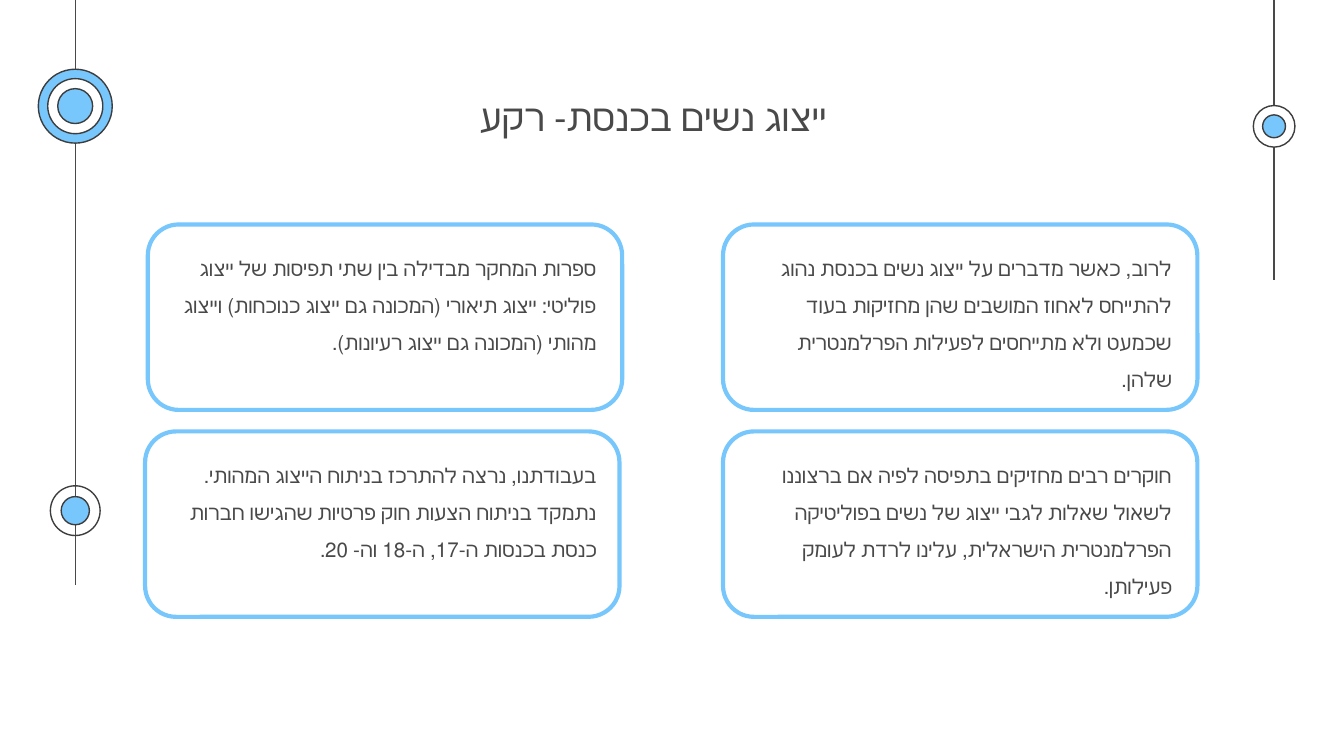
from lxml import etree
from pptx import Presentation
from pptx.dml.color import RGBColor
from pptx.enum.shapes import MSO_CONNECTOR, MSO_SHAPE
from pptx.enum.text import MSO_ANCHOR, PP_ALIGN
from pptx.oxml.ns import qn
from pptx.util import Inches, Pt

STRAIGHT = MSO_CONNECTOR.STRAIGHT
OVAL, ROUNDED = MSO_SHAPE.OVAL, MSO_SHAPE.ROUNDED_RECTANGLE
TOP = MSO_ANCHOR.TOP
CENTER, RIGHT = PP_ALIGN.CENTER, PP_ALIGN.RIGHT

WIDTH = 10
HEIGHT = WIDTH * 9 / 16
COLORS = {"ink": "494949", "ring": "3D3D3D", "sky": "77C6FC", "paper": "FFFFFF"}
FONT = "Karla"

GRID_LEFT, GRID_TOP = 1.1, 1.67
COLUMN_STEP, ROW_STEP = 4.28, 1.54
CARD_WIDTH, CARD_HEIGHT = 3.53, 1.38
TEXT_INSET_X, TEXT_INSET_Y = 0.08, 0.04
TEXT_WIDTH, TEXT_HEIGHT = 3.36, 1.11

FRAME_FORMAT = {
    "word_wrap": True,
    "vertical_anchor": TOP,
    "margin_left": Inches(0.1),
    "margin_right": Inches(0.1),
    "margin_top": Inches(0.1),
    "margin_bottom": Inches(0.1),
}
FONT_FORMAT = {"name": FONT}
TITLE_FORMAT = {"alignment": CENTER}
BODY_FORMAT = {"alignment": RIGHT, "line_spacing": 1.5}

TITLE = "ייצוג נשים בכנסת- רקע"
# (column, row, outline shift to the left, statement)
STATEMENTS = [
    (1, 0, 0, "לרוב, כאשר מדברים על ייצוג נשים בכנסת נהוג להתייחס לאחוז המושבים "
              "שהן מחזיקות בעוד שכמעט ולא מתייחסים לפעילות הפרלמנטרית שלהן."),
    (1, 1, 0, "חוקרים רבים מחזיקים בתפיסה לפיה אם ברצוננו לשאול שאלות לגבי ייצוג "
              "של נשים בפוליטיקה הפרלמנטרית הישראלית, עלינו לרדת לעומק פעילותן."),
    (0, 0, 0, "ספרות המחקר מבדילה בין שתי תפיסות של ייצוג פוליטי: ייצוג תיאורי "
              "(המכונה גם ייצוג כנוכחות) וייצוג מהותי (המכונה גם ייצוג רעיונות)."),
    (0, 1, 0.02, "בעבודתנו, נרצה להתרכז בניתוח הייצוג המהותי. נתמקד בניתוח הצעות חוק "
                 "פרטיות שהגישו חברות כנסת בכנסות ה-17, ה-18 וה- 20."),
]

THREADS = [(0.56, 4.35), (9.48, 2.08)]
BEADS = [
    (0.56, 3.8, [(0.37, None), (0.21, "sky")]),
    (9.48, 0.94, [(0.31, "paper"), (0.17, "sky")]),
    (0.56, 0.79, [(0.55, "sky"), (0.41, "paper"), (0.26, "sky")]),
]


def color(name):
    return RGBColor.from_string(COLORS[name])


def apply_format(target, values):
    for attribute, value in values.items():
        setattr(target, attribute, value)


def add_outlined(slide, preset, box, fill, line, weight):
    shape = slide.shapes.add_shape(preset, *map(Inches, box))
    shape.shadow.inherit = False
    if fill:
        shape.fill.solid()
        shape.fill.fore_color.rgb = color(fill)
    else:
        shape.fill.background()
    shape.line.color.rgb = color(line)
    shape.line.width = Pt(weight)
    return shape


def add_thread(slide, x, bottom):
    thread = slide.shapes.add_connector(
        STRAIGHT, Inches(x), 0, Inches(x), Inches(bottom))
    thread.line.color.rgb = color("ink")
    thread.line.width = Pt(0.75)
    etree.SubElement(thread._element.spPr, qn("a:effectLst"))


def add_bead(slide, x, y, rings):
    for diameter, fill in rings:
        box = (x - diameter / 2, y - diameter / 2, diameter, diameter)
        add_outlined(slide, OVAL, box, fill, "ring", 0.75)


def add_text(slide, box, text, size, paragraph_format, rtl=False):
    frame = slide.shapes.add_textbox(*map(Inches, box)).text_frame
    apply_format(frame, FRAME_FORMAT)
    paragraph = frame.paragraphs[0]
    apply_format(paragraph, paragraph_format)
    if rtl:
        paragraph._p.get_or_add_pPr().set("rtl", "1")
    run = paragraph.add_run()
    run.text = text
    apply_format(run.font, {**FONT_FORMAT, "size": Pt(size)})
    run.font.color.rgb = color("ink")


def add_card(slide, column, row, shift, statement):
    left = GRID_LEFT + column * COLUMN_STEP
    top = GRID_TOP + row * ROW_STEP
    outline = (left - shift, top, CARD_WIDTH, CARD_HEIGHT)
    card = add_outlined(slide, ROUNDED, outline, None, "sky", 2.25)
    card.adjustments[0] = 0.167
    text_box = (left + TEXT_INSET_X, top + TEXT_INSET_Y, TEXT_WIDTH, TEXT_HEIGHT)
    add_text(slide, text_box, statement, 11, BODY_FORMAT, rtl=True)


def main():
    """Build the slide on women's representation in the Knesset."""
    deck = Presentation()
    deck.slide_width, deck.slide_height = Inches(WIDTH), Inches(HEIGHT)
    slide = deck.slides.add_slide(deck.slide_layouts[6])
    for thread in THREADS:
        add_thread(slide, *thread)
    for bead in BEADS:
        add_bead(slide, *bead)
    add_text(slide, (3.1, 0.6, 3.52, 0.63), TITLE, 20, TITLE_FORMAT)
    for statement in STATEMENTS:
        add_card(slide, *statement)
    deck.save("out.pptx")


if __name__ == "__main__":
    main()
